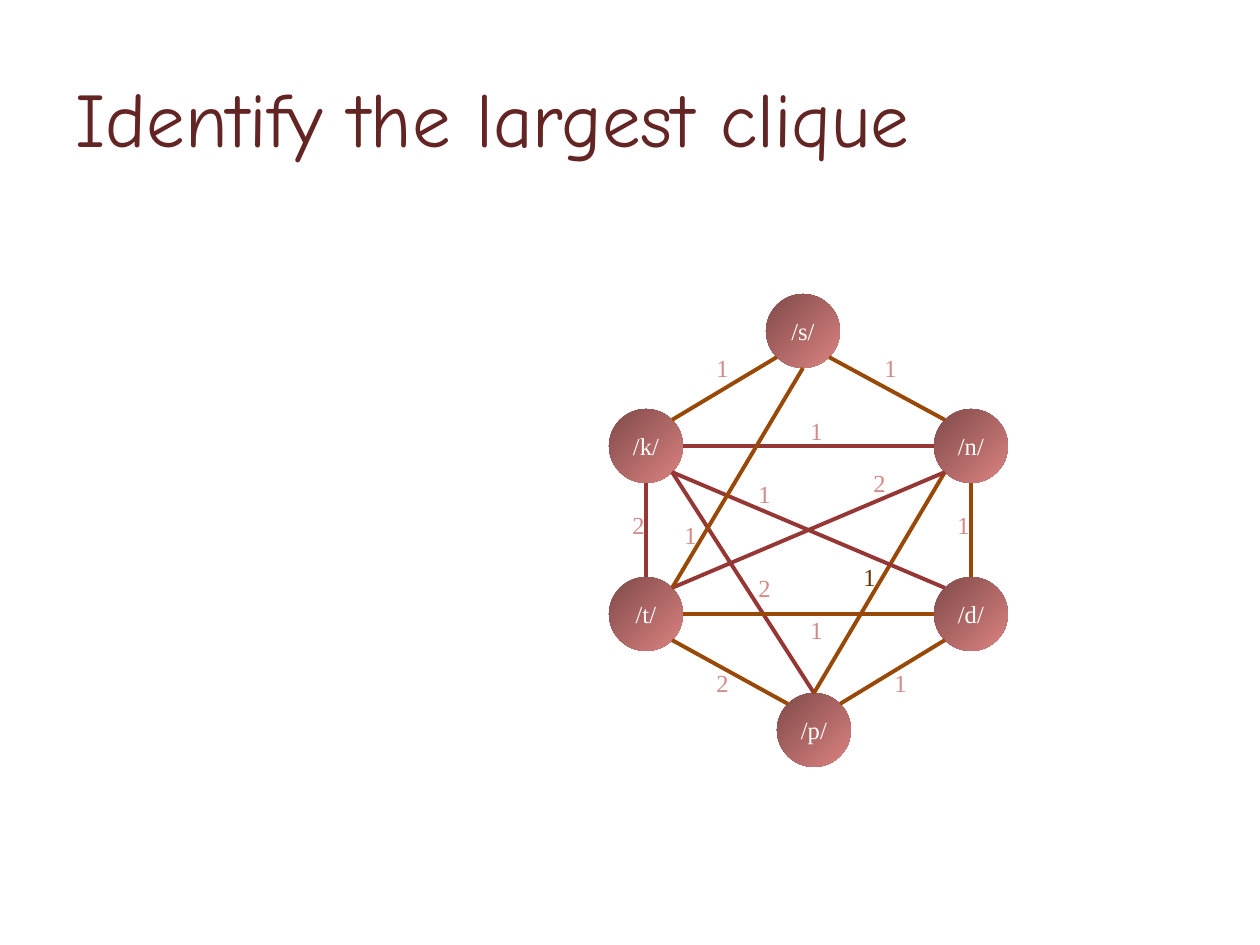
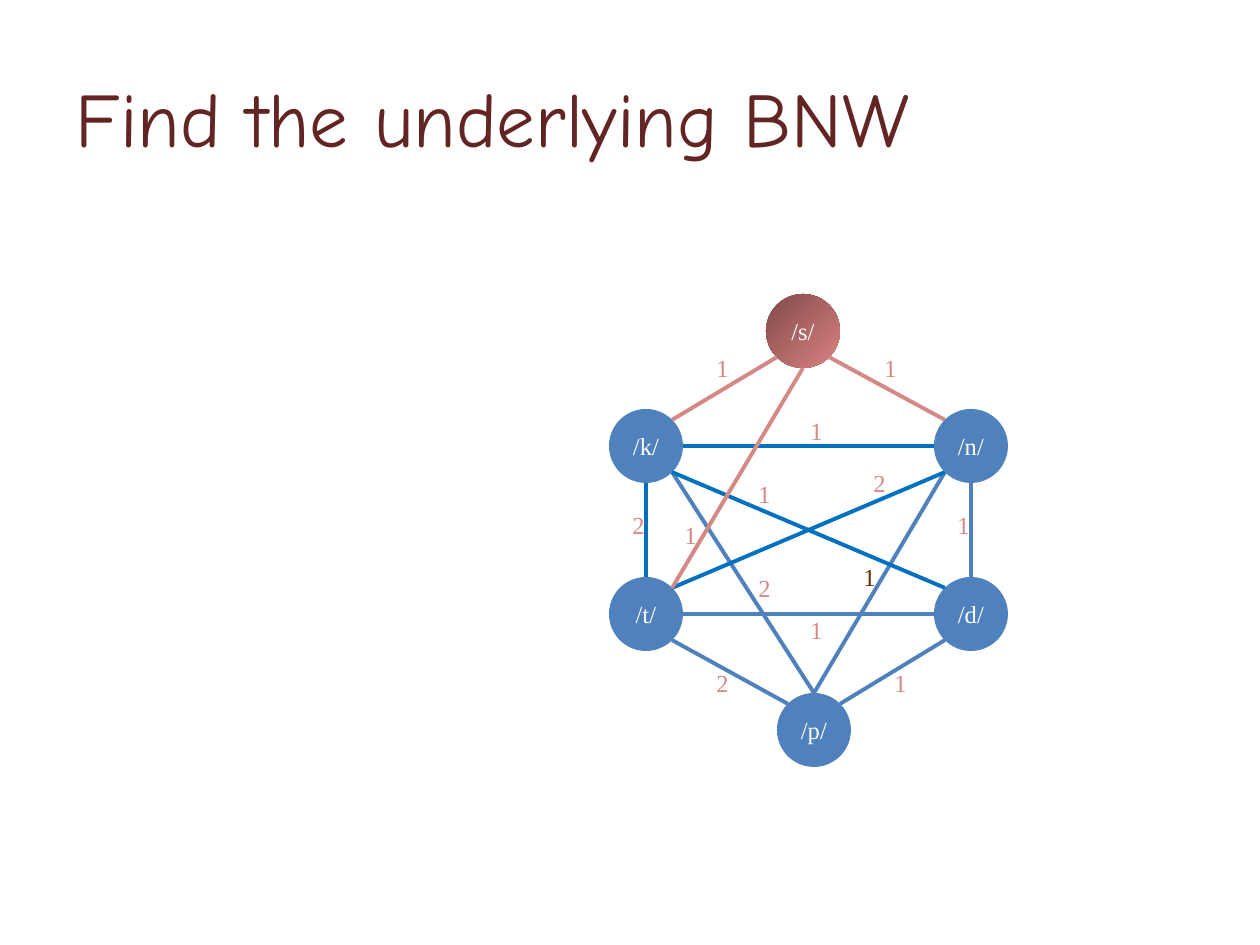
import math

import lxml.etree
import pptx
import pptx.dml.color
import pptx.enum.shapes
import pptx.enum.text
import pptx.oxml.ns
import pptx.util

RGB = pptx.dml.color.RGBColor
MAROON = RGB(0x63, 0x25, 0x23)
DUSK = RGB(0x7F, 0x4A, 0x49)
ROSE = RGB(0xDB, 0x83, 0x81)
PINK = RGB(0xD5, 0x89, 0x87)
RED = RGB(0x95, 0x37, 0x35)
BROWN = RGB(0x98, 0x48, 0x07)
DARK = RGB(0x66, 0x33, 0x00)
BLUE = RGB(0x4F, 0x81, 0xBD)
AZURE = RGB(0x00, 0x70, 0xC0)
WHITE = RGB(0xFF, 0xFF, 0xFF)

TITLE_FONT = "Comic Neue"
GRAPH_FONT = "Times New Roman"
SCALE = 914400 / 126
RADIUS = 37

# Centre of each node
NODES = {
    "s": (803, 331), "n": (971, 446), "k": (646, 446),
    "p": (814, 730), "t": (646, 614), "d": (971, 614),
}

# Clockwise angle of each point on a node's rim
SITES = {"E": 0, "SE": 45, "S": 90, "SW": 135, "W": 180, "NW": 225, "N": 270, "NE": 315}

# Start node and site, end node and site, kind, weight, label corner
EDGES = [
    ("s", "SW", "k", "NE", "outer", 1, (704, 347)),
    ("p", "N", "k", "SE", "cross", 2, (746, 567)),
    ("p", "NW", "t", "SE", "rim", 2, (704, 662)),
    ("s", "SE", "n", "NW", "outer", 1, (872, 347)),
    ("k", "S", "t", "N", "core", 2, (620, 504)),
    ("p", "NE", "d", "SW", "rim", 1, (882, 662)),
    ("d", "N", "n", "S", "rim", 1, (945, 504)),
    ("p", "N", "n", "SW", "rim", 1, (851, 556)),
    ("k", "E", "n", "W", "core", 1, (798, 410)),
    ("t", "NE", "n", "SW", "core", 2, (861, 462)),
    ("t", "E", "d", "W", "rim", 1, (798, 609)),
    ("d", "NW", "k", "SE", "core", 1, (746, 473)),
    ("t", "NE", "s", "S", "outer", 1, (672, 514)),
]

# Title, nodes filled blue, line colour of each kind of edge
SLIDES = [
    ("Identify the largest clique", "",
     {"outer": BROWN, "rim": BROWN, "core": RED, "cross": RED}),
    ("Find the underlying BNW", "nkptd",
     {"outer": PINK, "rim": BLUE, "core": AZURE, "cross": BLUE}),
]


def px(*sizes):
    return [pptx.util.Emu(round(size * SCALE)) for size in sizes]


def style(frame, font, size, color, align):
    para = frame.paragraphs[0]
    para.alignment = align
    for run in para.runs:
        run.font.name = font
        run.font.size = pptx.util.Pt(size)
        run.font.color.rgb = color


def add_title(slide, text):
    title = slide.shapes.title
    title.left, title.top, title.width, title.height = px(63, 38, 1134, 157)
    title.text_frame.text = text
    style(title.text_frame, TITLE_FONT, 44, MAROON, pptx.enum.text.PP_ALIGN.LEFT)


def add_node(group, name, solid):
    x, y = NODES[name]
    node = group.shapes.add_shape(
        pptx.enum.shapes.MSO_SHAPE.OVAL,
        *px(x - RADIUS, y - RADIUS, 2 * RADIUS, 2 * RADIUS))
    node.shadow.inherit = False
    node.line.fill.background()
    if solid:
        node.fill.solid()
        node.fill.fore_color.rgb = BLUE
    else:
        node.fill.gradient()
        node.fill.gradient_angle = 315
        for stop, color in zip(node.fill.gradient_stops, (DUSK, ROSE)):
            stop.color.rgb = color
    frame = node.text_frame
    frame.text = f"/{name}/"
    frame.word_wrap = False
    frame.vertical_anchor = pptx.enum.text.MSO_ANCHOR.MIDDLE
    style(frame, GRAPH_FONT, 14, WHITE, pptx.enum.text.PP_ALIGN.CENTER)


def rim_point(name, site):
    x, y = NODES[name]
    angle = math.radians(SITES[site])
    return x + RADIUS * math.cos(angle), y + RADIUS * math.sin(angle)


def add_edge(group, start, end, color):
    edge = group.shapes.add_connector(
        pptx.enum.shapes.MSO_CONNECTOR.STRAIGHT, *px(*start, *end))
    edge.line.color.rgb = color
    edge.line.width = pptx.util.Pt(2.25)
    lxml.etree.SubElement(edge._element.spPr, pptx.oxml.ns.qn("a:effectLst"))


def add_weight(group, weight, corner, color):
    box = group.shapes.add_textbox(*px(*corner, 63, 43))
    frame = box.text_frame
    frame.text = str(weight)
    frame.word_wrap = True
    frame.auto_size = pptx.enum.text.MSO_AUTO_SIZE.SHAPE_TO_FIT_TEXT
    style(frame, GRAPH_FONT, 14, color, pptx.enum.text.PP_ALIGN.LEFT)


def add_graph(slide, solid, colors):
    group = slide.shapes.add_group_shape()
    for name in NODES:
        add_node(group, name, name in solid)
    for first, out, last, into, kind, _, _ in EDGES:
        add_edge(group, rim_point(first, out), rim_point(last, into), colors[kind])
    for first, _, last, _, _, weight, corner in EDGES:
        color = DARK if (first, last) == ("p", "n") else PINK
        add_weight(group, weight, corner, color)


def main():
    deck = pptx.Presentation()
    deck.slide_width, deck.slide_height = px(1260, 945)
    for title, solid, colors in SLIDES:
        slide = deck.slides.add_slide(deck.slide_layouts[5])
        add_title(slide, title)
        add_graph(slide, solid, colors)
    deck.save("out.pptx")


if __name__ == "__main__":
    main()
